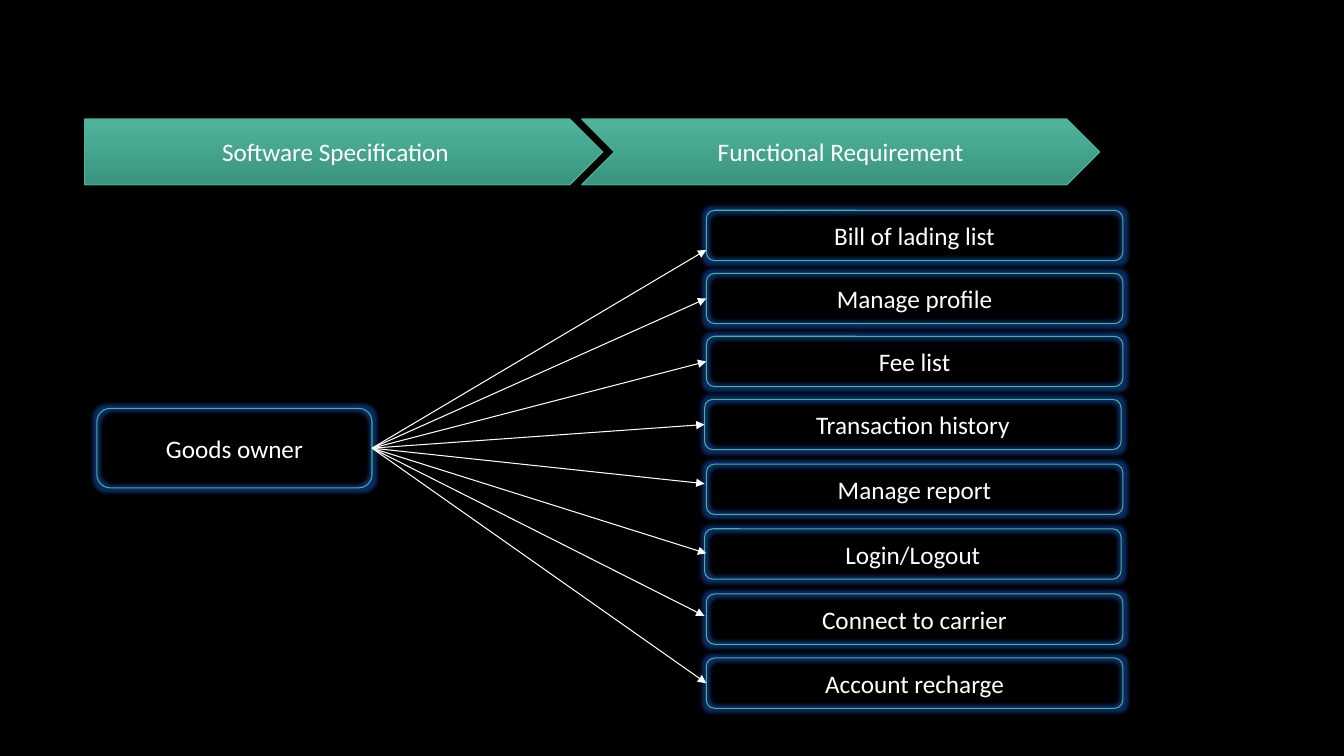
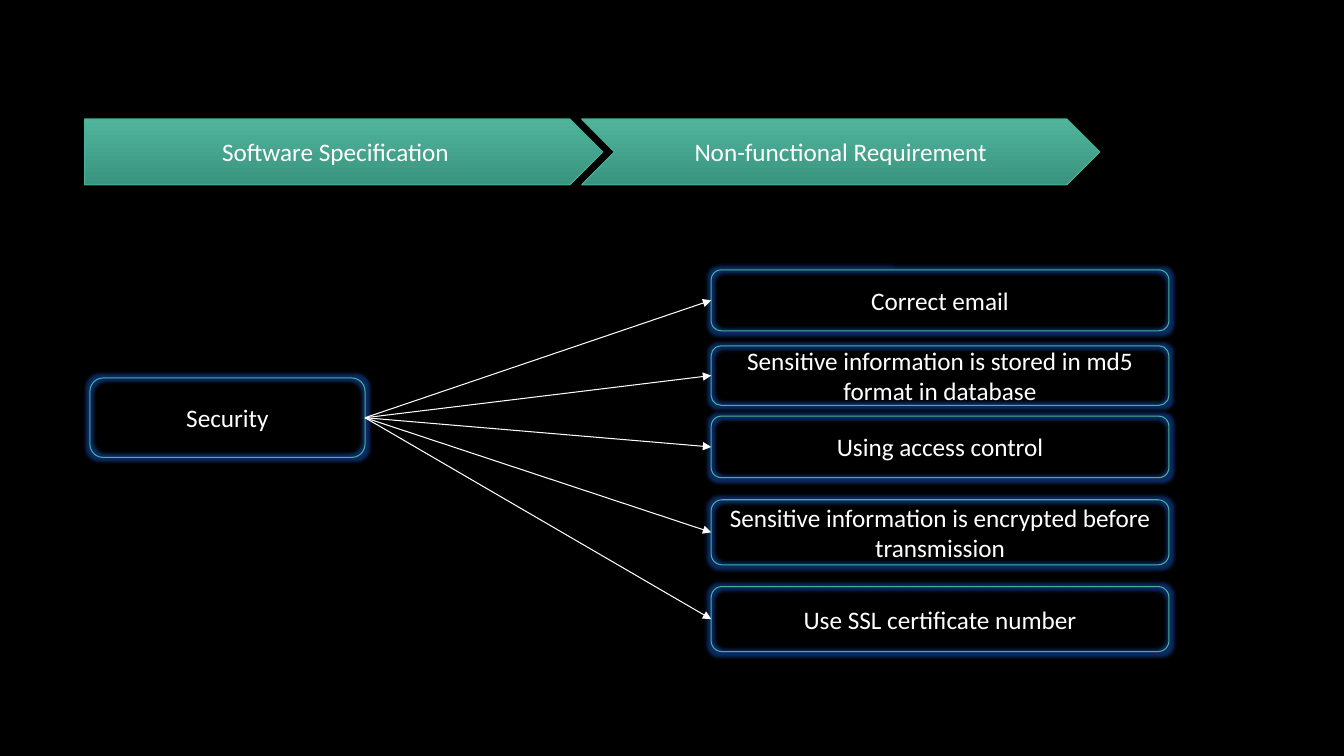
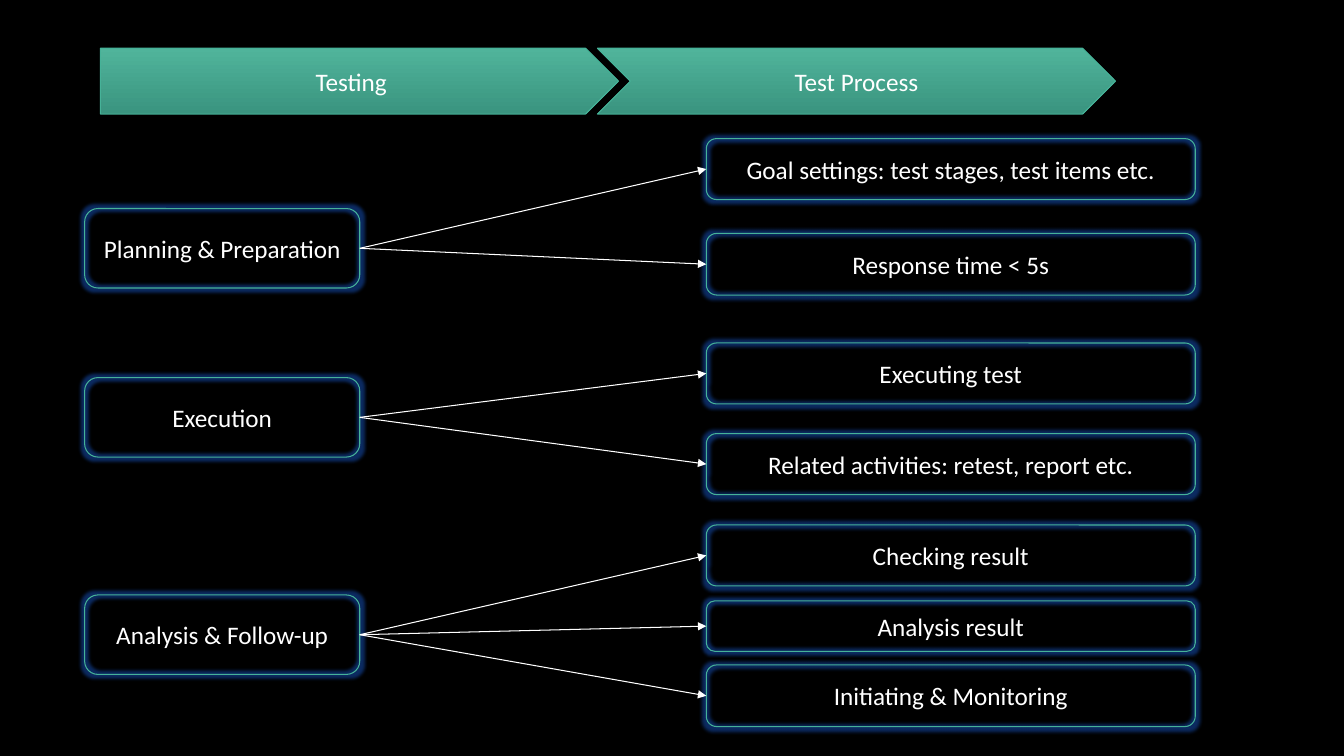
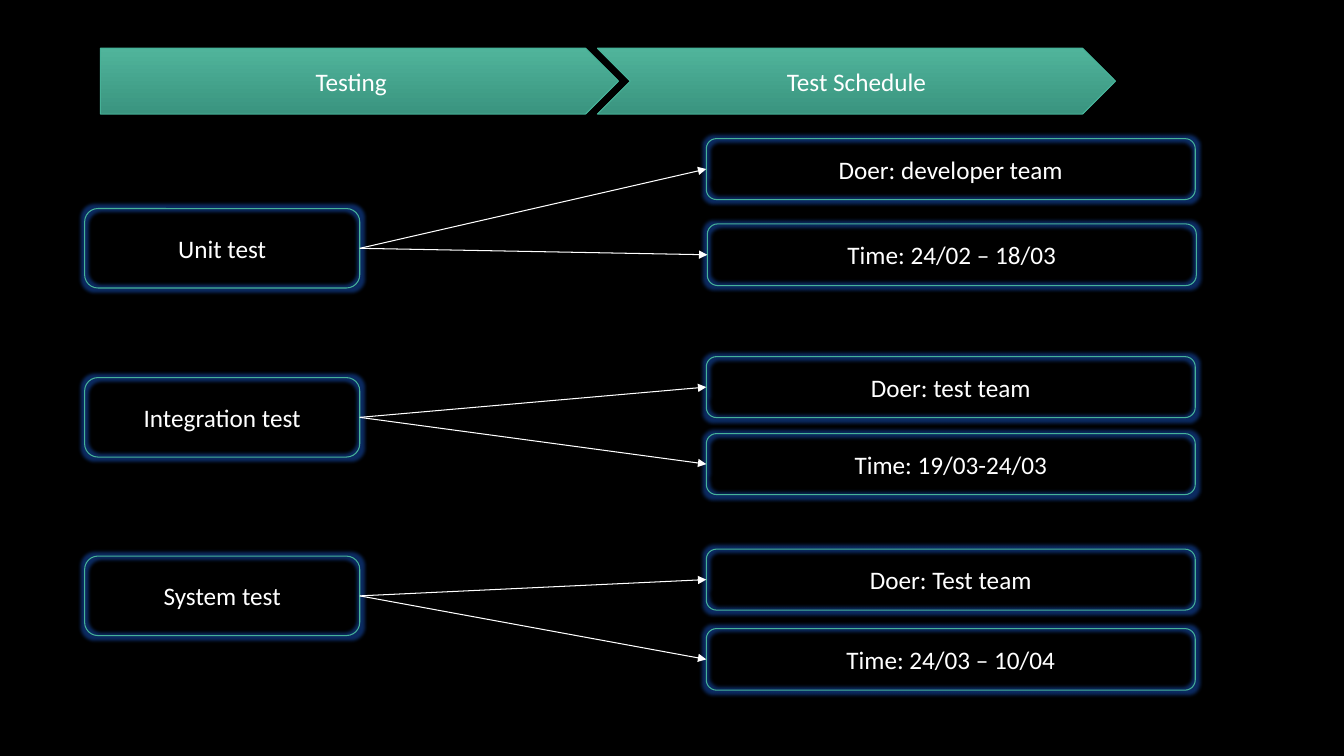
from dataclasses import dataclass
from typing import Optional

import lxml.etree
import pptx
import pptx.dml.color
import pptx.enum.dml
import pptx.enum.shapes
import pptx.enum.text
import pptx.oxml.ns
import pptx.shapes.autoshape
import pptx.shapes.connector
import pptx.slide
import pptx.util

Pt = pptx.util.Pt
qn = pptx.oxml.ns.qn
RGBColor = pptx.dml.color.RGBColor
Preset = pptx.enum.shapes.MSO_SHAPE


# Theme: colours, type and shared measures (points)
@dataclass(frozen=True)
class Theme:
    background: str = "000000"
    text: str = "FFFFFF"
    accent: str = "46B298"
    ribbon_top: str = "50B49B"
    ribbon_bottom: str = "3A947F"
    glow: str = "1A5FD8"
    font: str = "Calibri"
    text_size: float = 18
    line_width: float = 0.75
    ribbon_width: float = 370
    ribbon_height: float = 47
    ribbon_step: float = 355
    source_width: float = 196.5
    source_height: float = 56.75


THEME = Theme()


# Content model
@dataclass(frozen=True)
class Target:
    text: str
    top: float
    height: float = 43.5
    shift: float = 0  # moves the box sideways from its column
    arrow_end: Optional[tuple[float, float]] = None  # free end, if not joined


@dataclass(frozen=True)
class Branch:
    source: str
    top: float
    targets: list[Target]


@dataclass(frozen=True)
class Diagram:
    ribbon_left: float
    ribbon_top: float
    headings: tuple[str, str]
    source_left: float
    target_left: float
    target_width: float
    branches: list[Branch]


DIAGRAMS = [
    Diagram(60.5, 85, ("Software Specification", "Functional Requirement"), 69.25, 504.5, 297.5, [
        Branch("Goods owner", 291.75, [
            Target("Bill of lading list", 150.25, 36, arrow_end=(504.5, 178.5)),
            Target("Manage profile", 195.25, 36),
            Target("Fee list", 240.25, 36),
            Target("Transaction history", 285.25, 36, shift=-1.25),
            Target("Manage report", 331.5, 36, arrow_end=(503.25, 345.5)),
            Target("Login/Logout", 377.75, 36, shift=-1.25, arrow_end=(504.5, 395.25)),
            Target("Connect to carrier", 424.25, 36, arrow_end=(503.25, 440)),
            Target("Account recharge", 470, 36),
        ]),
    ]),
    Diagram(60.5, 85, ("Software Specification", "Non-functional Requirement"), 64.25, 508, 327, [
        Branch("Security", 270, [
            Target("Correct email", 192.75),
            Target("Sensitive information is stored in md5 format in database", 247, 42.5),
            Target("Using access control", 297.25, 44),
            Target("Sensitive information is encrypted before transmission", 357, 46.5),
            Target("Use SSL certificate number", 419, 46.5),
        ]),
    ]),
    Diagram(71.75, 34.5, ("Testing", "Test Process"), 60.5, 504.5, 349.25, [
        Branch("Planning & Preparation", 149, [
            Target("Goal settings: test stages, test items etc.", 99),
            Target("Response time < 5s", 166.75, 44),
        ]),
        Branch("Execution", 269.75, [
            Target("Executing test", 245),
            Target("Related activities: retest, report etc.", 309.75),
        ]),
        Branch("Analysis & Follow-up", 425, [
            Target("Checking result", 375),
            Target("Analysis result", 429.25, 36),
            Target("Initiating & Monitoring", 475, 44),
        ]),
    ]),
    Diagram(71.75, 34.5, ("Testing", "Test Schedule"), 60.5, 504.5, 349.25, [
        Branch("Unit test", 149, [
            Target("Doer: developer team", 99),
            Target("Time: 24/02 – 18/03", 160, 44, shift=0.75),
        ]),
        Branch("Integration test", 269.75, [
            Target("Doer: test team", 254.75),
            Target("Time: 19/03-24/03", 309.75),
        ]),
        Branch("System test", 397.25, [
            Target("Doer: Test team", 392.25),
            Target("Time: 24/03 – 10/04", 449, 44),
        ]),
    ]),
]


# Drawing helpers
def rgb(value: str) -> RGBColor:
    return RGBColor.from_string(value)


def add_effect(shape: pptx.shapes.autoshape.Shape, kind: str, color: str,
               opacity: int, **settings: int) -> None:
    """Give the shape one effect in place of the inherited ones."""
    shape.shadow.inherit = False
    effects = shape._element.spPr.find(qn("a:effectLst"))
    effect = lxml.etree.SubElement(effects, qn(f"a:{kind}"))
    for name, value in settings.items():
        effect.set(name, str(value))
    tint = lxml.etree.SubElement(effect, qn("a:srgbClr"), val=color)
    lxml.etree.SubElement(tint, qn("a:alpha"), val=str(opacity * 1000))


def add_label_shape(page: pptx.slide.Slide, preset: Preset, text: str, left: float,
                    top: float, width: float, height: float) -> pptx.shapes.autoshape.Shape:
    """Add an outlined shape with centred text."""
    shape = page.shapes.add_shape(preset, Pt(left), Pt(top), Pt(width), Pt(height))
    shape.line.color.rgb = rgb(THEME.accent)
    shape.line.width = Pt(THEME.line_width)
    frame = shape.text_frame
    frame.word_wrap = True
    frame.vertical_anchor = pptx.enum.text.MSO_ANCHOR.MIDDLE
    frame.text = text
    para = frame.paragraphs[0]
    para.alignment = pptx.enum.text.PP_ALIGN.CENTER
    span = para.runs[0]
    span.font.name = THEME.font
    span.font.size = Pt(THEME.text_size)
    span.font.color.rgb = rgb(THEME.text)
    return shape


def add_ribbon(page: pptx.slide.Slide, preset: Preset, text: str, left: float, top: float) -> None:
    ribbon = add_label_shape(page, preset, text, left, top, THEME.ribbon_width, THEME.ribbon_height)
    ribbon.fill.gradient()
    ribbon.fill.gradient_angle = 270
    for stop, color in zip(ribbon.fill.gradient_stops, (THEME.ribbon_top, THEME.ribbon_bottom)):
        stop.color.rgb = rgb(color)
    add_effect(ribbon, "outerShdw", THEME.background, 35,
               blurRad=Pt(4), dist=Pt(3), dir=90 * 60000)


def add_glow_box(page: pptx.slide.Slide, text: str, left: float, top: float,
                 width: float, height: float) -> pptx.shapes.autoshape.Shape:
    box = add_label_shape(page, Preset.ROUNDED_RECTANGLE, text, left, top, width, height)
    box.fill.background()
    add_effect(box, "glow", THEME.glow, 45, rad=Pt(5))
    return box


def add_arrow(page: pptx.slide.Slide, source: pptx.shapes.autoshape.Shape,
              box: pptx.shapes.autoshape.Shape, end: Optional[tuple[float, float]]) -> None:
    """Draw an arrow from the source's right side to the box, or to a free end."""
    end_x, end_y = (Pt(value) for value in end) if end else (box.left, box.top + box.height // 2)
    arrow = page.shapes.add_connector(
        pptx.enum.shapes.MSO_CONNECTOR.STRAIGHT,
        source.left + source.width, source.top + source.height // 2, end_x, end_y)
    arrow.begin_connect(source, 3)
    if end is None:
        arrow.end_connect(box, 1)
    arrow.line.color.rgb = rgb(THEME.text)
    arrow.line.width = Pt(THEME.line_width)
    lxml.etree.SubElement(arrow.line._get_or_add_ln(), qn("a:tailEnd"), type="triangle")
    lxml.etree.SubElement(arrow._element.spPr, qn("a:effectLst"))


def draw_diagram(page: pptx.slide.Slide, diagram: Diagram) -> None:
    # Heading ribbons
    for index, preset in enumerate((Preset.PENTAGON, Preset.CHEVRON)):
        add_ribbon(page, preset, diagram.headings[index],
                   diagram.ribbon_left + index * THEME.ribbon_step, diagram.ribbon_top)
    # Sources with their targets
    for branch in diagram.branches:
        source = add_glow_box(page, branch.source, diagram.source_left, branch.top,
                              THEME.source_width, THEME.source_height)
        for target in branch.targets:
            box = add_glow_box(page, target.text, diagram.target_left + target.shift,
                               target.top, diagram.target_width, target.height)
            add_arrow(page, source, box, target.arrow_end)


def main() -> None:
    deck = pptx.Presentation()
    deck.slide_width, deck.slide_height = Pt(960), Pt(540)
    # Shared background
    backdrop = deck.slide_master.background.fill
    backdrop.solid()
    backdrop.fore_color.rgb = rgb(THEME.background)
    blank_layout = deck.slide_layouts[6]
    for diagram in DIAGRAMS:
        draw_diagram(deck.slides.add_slide(blank_layout), diagram)
    deck.save("out.pptx")


if __name__ == "__main__":
    main()
